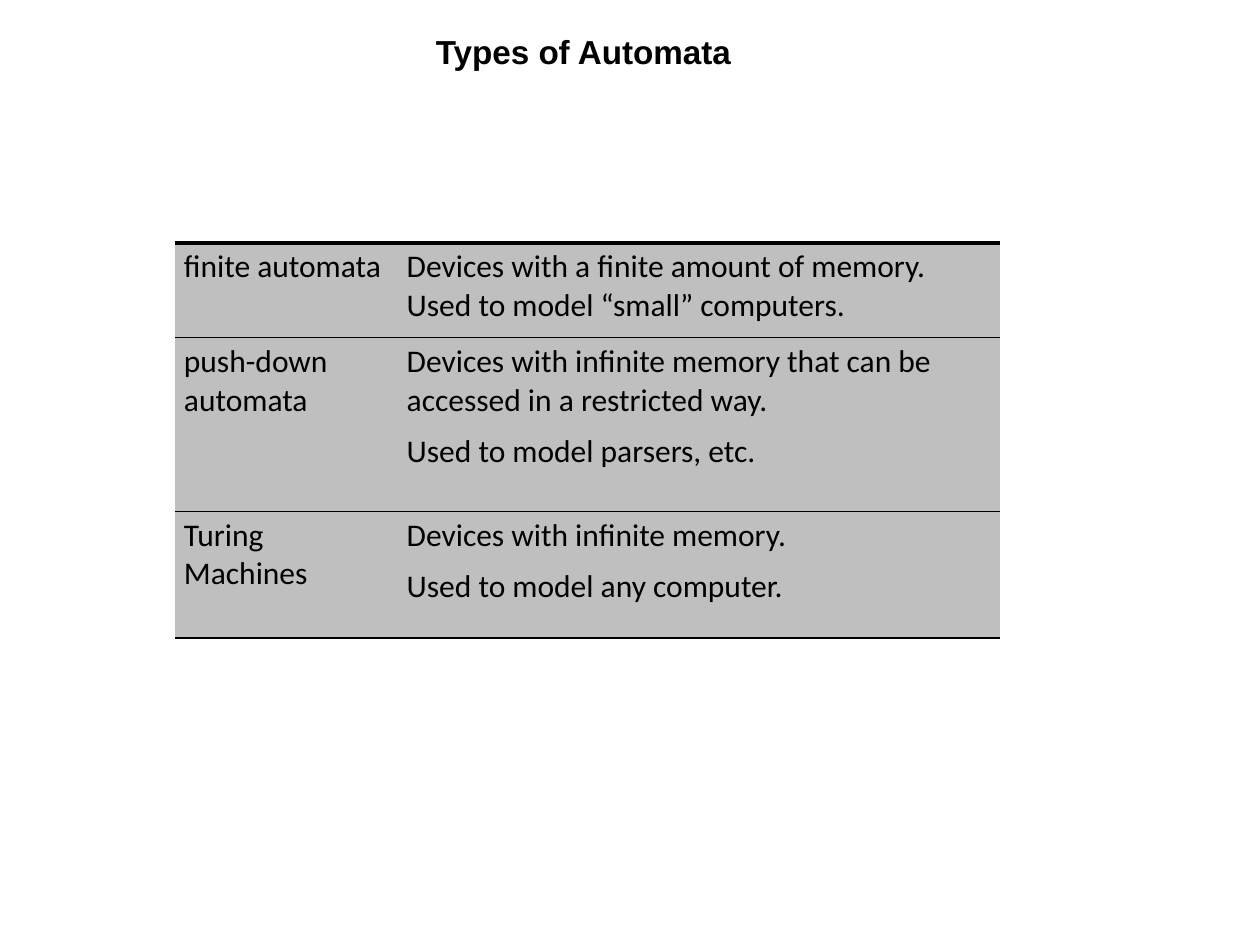
from lxml.etree import SubElement as SubEl
from pptx import Presentation
from pptx.dml.color import RGBColor as RGB
from pptx.enum.text import MSO_AUTO_SIZE as AutoSize, PP_ALIGN as Align
from pptx.oxml.ns import qn
from pptx.util import Inches, Pt

COLORS = {"title": "010103", "text": "000000", "rule": "000000", "cell": "BFBFBF"}
WIDTH, HEIGHT = Inches(10), Inches(7.5)

# Each cell is a list of paragraphs, each paragraph a list of lines
AUTOMATA = [
    ([["finite automata"]],
     [["Devices with a finite amount of memory.", "Used to model “small” computers."]]),
    ([["push-down automata"]],
     [["Devices with infinite memory that can be accessed in a restricted way."],
      ["Used to model parsers, etc."]]),
    ([["Turing Machines"]],
     [["Devices with infinite memory."], ["Used to model any computer."]]),
]
COL_SHARES = (0.27, 0.73)
ROW_SHARES = (0.24, 0.44, 0.32)


def box(left, top, width, height):
    """Turn shares of the slide into lengths."""
    return (int(left * WIDTH), int(top * HEIGHT),
            int(width * WIDTH), int(height * HEIGHT))


def add_run(p, text, font, size, color, bold=False):
    r = p.add_run()
    r.text = text
    r.font.name, r.font.size, r.font.bold = font, Pt(size), bold
    r.font.color.rgb = RGB.from_string(COLORS[color])


def set_border(cell, side, width):
    """Draw one side of a cell; a width of 0 leaves it open."""
    ln = SubEl(cell._tc.get_or_add_tcPr(), qn(f"a:ln{side}"), w=str(Pt(width)))
    if width:
        fill = SubEl(ln, qn("a:solidFill"))
        SubEl(fill, qn("a:srgbClr"), val=COLORS["rule"])
    else:
        SubEl(ln, qn("a:noFill"))


def add_title(s, area, text):
    tf = s.shapes.add_textbox(*area).text_frame
    tf.margin_left = tf.margin_right = tf.margin_top = tf.margin_bottom = 0
    tf.word_wrap = True
    tf.auto_size = AutoSize.SHAPE_TO_FIT_TEXT
    p = tf.paragraphs[0]
    p.alignment = Align.CENTER
    add_run(p, text, "Arial", 19, "title", bold=True)


def fill_cell(cell, paragraphs, top_rule):
    cell.margin_left = cell.margin_right = Inches(0.07)
    cell.margin_top = cell.margin_bottom = Inches(0.04)
    for side, width in (("L", 0), ("R", 0), ("T", top_rule), ("B", 1)):
        set_border(cell, side, width)
    cell.fill.solid()
    cell.fill.fore_color.rgb = RGB.from_string(COLORS["cell"])
    tf = cell.text_frame
    for i, lines in enumerate(paragraphs):
        p = tf.add_paragraph() if i else tf.paragraphs[0]
        if i:
            p.space_before = Pt(7.2)
        for j, line in enumerate(lines):
            if j:
                p.add_line_break()
            add_run(p, line, "Calibri", 18, "text")


def add_automata_table(s, area, rows):
    table = s.shapes.add_table(len(rows), len(COL_SHARES), *area).table
    table.first_row = table.horz_banding = False
    for col, share in zip(table.columns, COL_SHARES):
        col.width = int(area[2] * share)
    for row, share in zip(table.rows, ROW_SHARES):
        row.height = int(area[3] * share)
    for i, row in enumerate(rows):
        for j, paragraphs in enumerate(row):
            fill_cell(table.cell(i, j), paragraphs, 1 if i else 2.25)


def main():
    prs = Presentation()
    prs.slide_width, prs.slide_height = WIDTH, HEIGHT
    s = prs.slides.add_slide(prs.slide_layouts[6])
    # Heading
    add_title(s, box(0.167, 0.033, 0.592, 0.043), "Types of Automata")
    # Kinds of automata and their uses
    add_automata_table(s, box(0.139, 0.257, 0.655, 0.418), AUTOMATA)
    prs.save("out.pptx")


if __name__ == "__main__":
    main()
